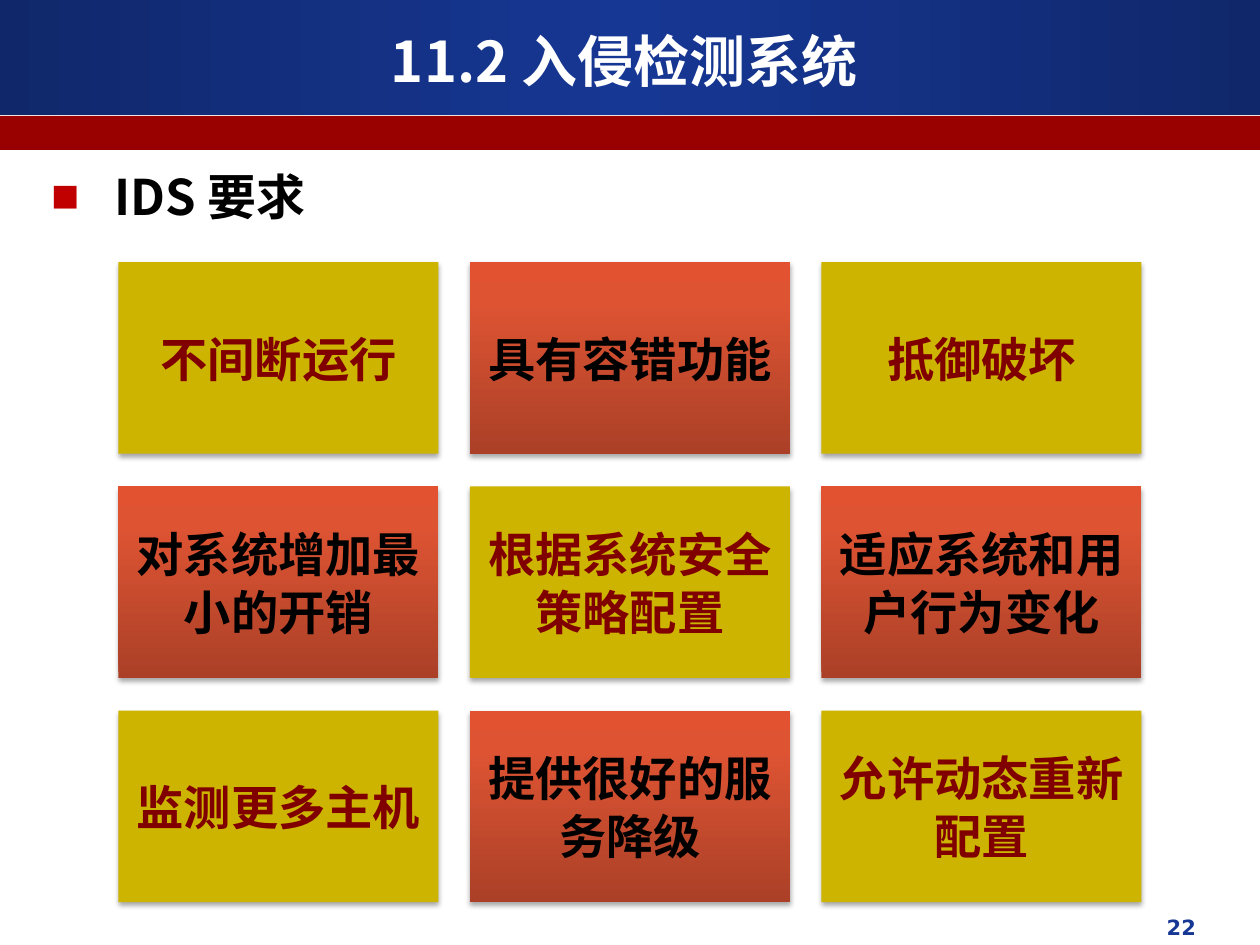
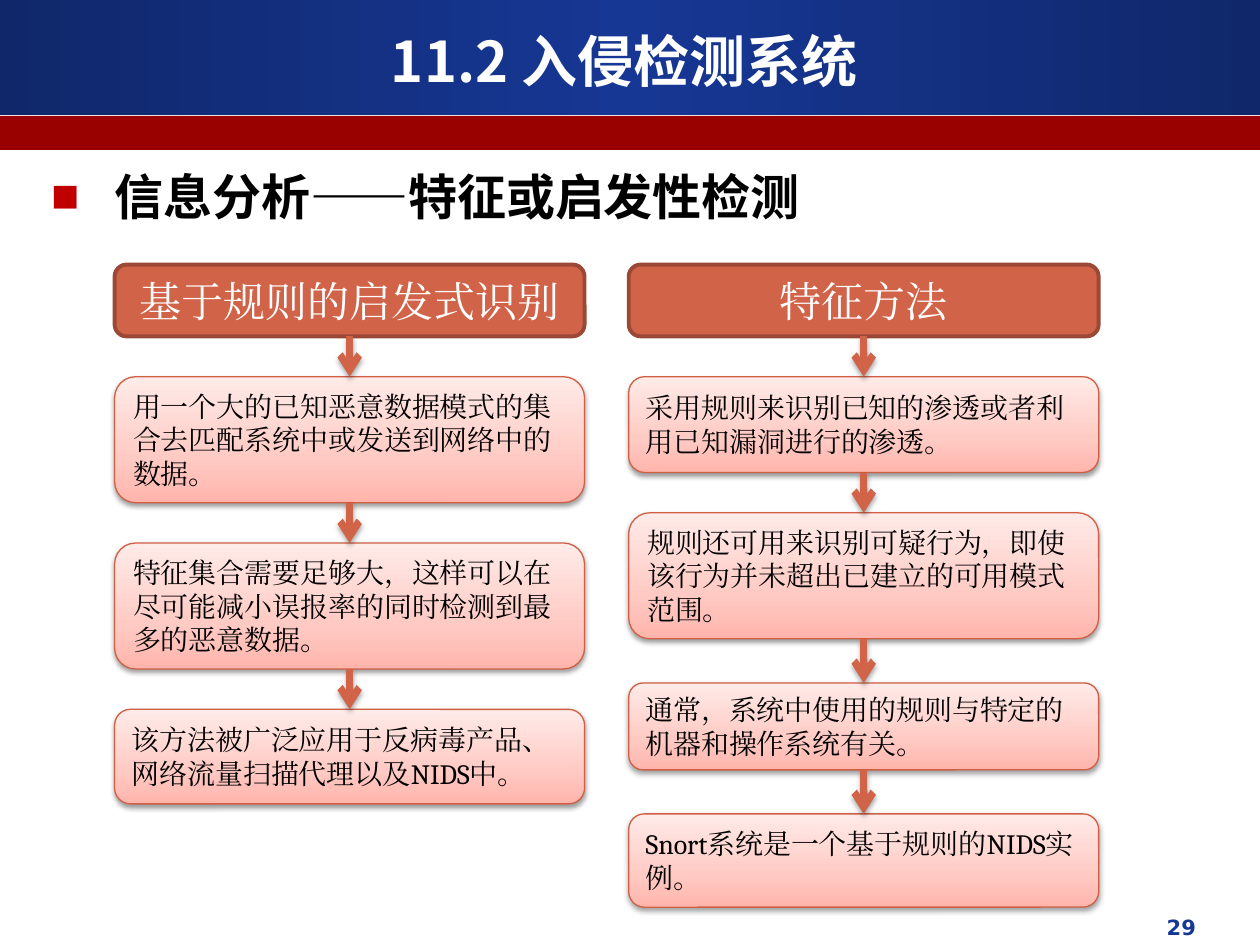
from dataclasses import dataclass

from lxml import etree
from pptx import Presentation
from pptx import util as u
from pptx.dml.color import RGBColor
from pptx.enum import shapes, text
from pptx.oxml.ns import qn


@dataclass(frozen=True)
class Theme:
    """Colours, gradients, fonts and type sizes of the deck."""
    white: str = "FFFFFF"
    black: str = "000000"
    navy: str = "163794"
    band: str = "990000"
    bullet: str = "C00000"
    gold: str = "CCB400"
    maroon: str = "800000"
    rust: str = "D16349"
    rust_edge: str = "9B4936"
    step_edge: str = "D05F44"
    header_fade: tuple = ((0, "10276A"), (50, "163794"), (100, "10276A"))
    card_fade: tuple = ((0, "AB4027"), (80, "DE5433"), (100, "E35230"))
    step_fade: tuple = ((0, "FFB5AC"), (35, "FFCAC4"), (100, "FFEBE8"))
    head_font: str = "Noto Sans CJK SC"
    card_font: str = "Quicksand"
    step_font: str = "Cambria"
    number_font: str = "DejaVu Sans"
    title_size: int = 32
    topic_size: int = 28
    card_size: int = 27
    card_leading: int = 33
    heading_size: int = 24
    step_size: int = 16
    number_size: int = 12


THEME = Theme()
TITLE = "11.2 入侵检测系统"
CENTER = text.PP_ALIGN.CENTER
REQUIREMENTS = [
    "不间断运行", "具有容错功能", "抵御破坏",
    "对系统增加最小的开销", "根据系统安全策略配置", "适应系统和用户行为变化",
    "监测更多主机", "提供很好的服务降级", "允许动态重新配置",
]
HEURISTIC_STEPS = [
    (0.32, 1, "用一个大的已知恶意数据模式的集合去匹配系统中或发送到网络中的数据。"),
    (0.32, 1, "特征集合需要足够大，这样可以在尽可能减小误报率的同时检测到最多的恶意数据。"),
    (0.32, 0.75, "该方法被广泛应用于反病毒产品、网络流量扫描代理以及NIDS中。"),
]
SIGNATURE_STEPS = [
    (0.32, 0.76, "采用规则来识别已知的渗透或者利用已知漏洞进行的渗透。"),
    (0.32, 1, "规则还可用来识别可疑行为，即使该行为并未超出已建立的可用模式范围。"),
    (0.35, 0.69, "通常，系统中使用的规则与特定的机器和操作系统有关。"),
    (0.35, 0.74, "Snort系统是一个基于规则的NIDS实例。"),
]


def rgb(value):
    """Turn a hex string into a colour."""
    return RGBColor.from_string(value)


def add_node(parent, tag, **attributes):
    """Append a drawing element with the given attributes."""
    values = {name: str(value) for name, value in attributes.items()}
    return etree.SubElement(parent, qn(tag), values)


def place(shape, left, top, width, height):
    """Move and size a shape, in inches."""
    shape.left, shape.top = u.Inches(left), u.Inches(top)
    shape.width, shape.height = u.Inches(width), u.Inches(height)


def write(shape, words, font, size, color, bold=False, align=text.PP_ALIGN.LEFT,
          anchor=text.MSO_ANCHOR.MIDDLE):
    """Fill a shape with one formatted paragraph and return it."""
    frame = shape.text_frame
    frame.word_wrap = True
    frame.auto_size = text.MSO_AUTO_SIZE.NONE
    frame.vertical_anchor = anchor
    para = frame.paragraphs[0]
    para.text = words
    para.alignment = align
    para.space_before = u.Pt(0)
    para.font.name, para.font.size, para.font.bold = font, u.Pt(size), bold
    para.font.color.rgb = rgb(color)
    defaults = para._p.pPr.find(qn("a:defRPr"))
    defaults.find(qn("a:latin")).addnext(
        etree.Element(qn("a:ea"), {"typeface": font}))
    return para


def paint(shape, fill, angle=90):
    """Fill a shape with a colour or with a gradient of stops."""
    if isinstance(fill, str):
        shape.fill.solid()
        shape.fill.fore_color.rgb = rgb(fill)
        return
    shape.fill.gradient()
    shape.fill.gradient_angle = angle
    stops = shape.element.spPr.find(".//" + qn("a:gsLst"))
    for stop in list(stops):
        stops.remove(stop)
    for share, color in fill:
        stop = add_node(stops, "a:gs", pos=share * 1000)
        add_node(stop, "a:srgbClr", val=color)


def cast_shadow(shape, opacity=35, distance=1.8):
    """Give a shape or a connector a soft shadow below it."""
    properties = shape.element.spPr
    effects = properties.find(qn("a:effectLst"))
    if effects is None:
        effects = add_node(properties, "a:effectLst")
    shadow = add_node(effects, "a:outerShdw", blurRad=u.Pt(3.1), dist=u.Pt(distance),
                      dir=90 * 60000, rotWithShape=0)
    add_node(add_node(shadow, "a:srgbClr", val=THEME.black), "a:alpha", val=opacity * 1000)


def add_panel(page, area, fill, edge=None, weight=0.75, rounded=False, angle=90):
    """Add a filled rectangle without a shadow."""
    kind = shapes.MSO_SHAPE.ROUNDED_RECTANGLE if rounded else shapes.MSO_SHAPE.RECTANGLE
    panel = page.shapes.add_shape(kind, *map(u.Inches, area))
    panel.shadow.inherit = False
    paint(panel, fill, angle)
    if edge:
        panel.line.color.rgb = rgb(edge)
        panel.line.width = u.Pt(weight)
    else:
        panel.line.fill.background()
    return panel


def add_arrow(page, x, top, bottom):
    """Add a downward arrow between two steps."""
    arrow = page.shapes.add_connector(
        shapes.MSO_CONNECTOR.STRAIGHT, *map(u.Inches, (x, top, x, bottom)))
    arrow.line.color.rgb = rgb(THEME.rust)
    arrow.line.width = u.Pt(4)
    add_node(arrow.line._ln, "a:tailEnd", type="arrow")
    cast_shadow(arrow)


def add_bands(deck, page):
    """Draw the header bands and hand them to the slide master."""
    bands = [
        add_panel(page, (0, 0, 10, 0.91), THEME.header_fade, angle=0),
        add_panel(page, (0, 0.92, 10, 0.27), THEME.band),
    ]
    for index, band in enumerate(bands):
        deck.slide_master.shapes.element.insert(2 + index, band.element)


def add_page(deck, topic, number):
    """Add a page with its title, bulleted topic and page number."""
    page = deck.slides.add_slide(deck.slide_layouts[1])
    title, body = page.placeholders
    place(title, 0.33, 0.17, 9.25, 0.62)
    write(title, TITLE, THEME.head_font, THEME.title_size, THEME.white, True, CENTER)

    place(body, 0.31, 1.27, 9.02, 0.57)
    properties = body.text_frame.paragraphs[0]._p.get_or_add_pPr()
    properties.set("marL", str(u.Inches(0.5)))
    properties.set("indent", str(-u.Inches(0.5)))
    add_node(add_node(properties, "a:buClr"), "a:srgbClr", val=THEME.bullet)
    add_node(properties, "a:buSzPct", val=58000)
    add_node(properties, "a:buFont", typeface=THEME.head_font)
    add_node(properties, "a:buChar", char="■")
    write(body, topic, THEME.head_font, THEME.topic_size, THEME.black, True)

    box = page.shapes.add_textbox(*map(u.Inches, (6.42, 7.21, 3.17, 0.35)))
    write(box, str(number), THEME.number_font, THEME.number_size, THEME.navy, True,
          text.PP_ALIGN.RIGHT, text.MSO_ANCHOR.TOP)
    return page


def add_card_grid(page, labels, columns=3):
    """Lay out cards in a checkerboard of two colours."""
    for index, label in enumerate(labels):
        row, column = divmod(index, columns)
        fill, color = ((THEME.card_fade, THEME.black) if index % 2
                       else (THEME.gold, THEME.maroon))
        area = (0.94 + 2.79 * column, 2.08 + 1.78 * row, 2.54, 1.52)
        card = add_panel(page, area, fill)
        cast_shadow(card)
        frame = card.text_frame
        frame.margin_left = frame.margin_right = u.Inches(0.11)
        frame.margin_top = frame.margin_bottom = u.Inches(0.11)
        para = write(card, label, THEME.card_font, THEME.card_size, color, True, CENTER)
        para.line_spacing = u.Pt(THEME.card_leading)


def add_flow(page, left, heading, steps):
    """Add a heading and the chain of steps below it."""
    width, top, height = 3.73, 2.1, 0.57
    head = add_panel(page, (left, top, width, height), THEME.rust, THEME.rust_edge,
                     2.25, rounded=True)
    write(head, heading, THEME.step_font, THEME.heading_size, THEME.white, align=CENTER)
    bottom = top + height
    for gap, height, words in steps:
        top = bottom + gap
        step = add_panel(page, (left, top, width, height), THEME.step_fade,
                         THEME.step_edge, rounded=True)
        cast_shadow(step, 38, 1.6)
        write(step, words, THEME.step_font, THEME.step_size, THEME.black)
        add_arrow(page, left + width / 2, bottom, top)
        bottom = top + height


def main():
    """Build and save the deck."""
    deck = Presentation()
    deck.slide_width, deck.slide_height = u.Inches(10), u.Inches(7.5)

    requirements = add_page(deck, "IDS 要求", 22)
    add_bands(deck, requirements)
    add_card_grid(requirements, REQUIREMENTS)

    analysis = add_page(deck, "信息分析——特征或启发性检测", 29)
    add_flow(analysis, 0.91, "基于规则的启发式识别", HEURISTIC_STEPS)
    add_flow(analysis, 4.99, "特征方法", SIGNATURE_STEPS)

    deck.save("out.pptx")


if __name__ == "__main__":
    main()
